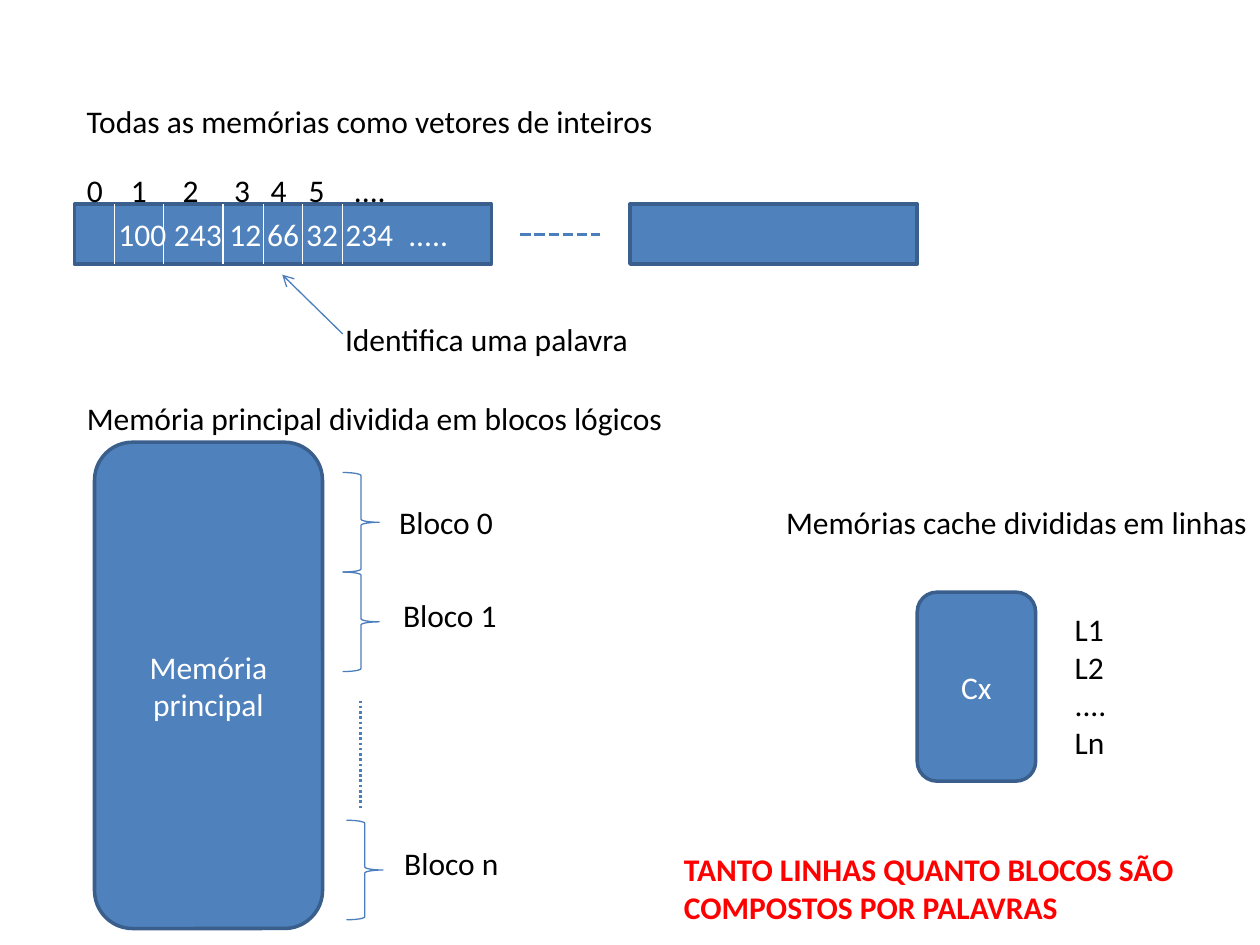
from lxml.etree import SubElement
from pptx import Presentation
from pptx.dml.color import RGBColor
from pptx.enum.dml import MSO_LINE
from pptx.enum.shapes import MSO_CONNECTOR, MSO_SHAPE
from pptx.enum.text import MSO_ANCHOR, MSO_AUTO_SIZE, PP_ALIGN
from pptx.oxml.ns import qn
from pptx.util import Inches, Pt

COLUMNS, ROWS = 100, 75
CELL = Inches(10) / COLUMNS
BLUE, EDGE, STROKE = "4F81BD", "3A5F8C", "4B7EBC"
WHITE, BLACK, RED = "FFFFFF", "000000", "FF0000"


def grid(*cells):
    return [round(cell * CELL) for cell in cells]


def color(value):
    return RGBColor.from_string(value)


def write(box, text, fill=BLACK, bold=False, align=PP_ALIGN.LEFT,
          anchor=MSO_ANCHOR.TOP, wrap=True, tabs=()):
    frame = box.text_frame
    frame.word_wrap = wrap
    frame.vertical_anchor = anchor
    for index, line in enumerate(text.split("\n")):
        para = frame.add_paragraph() if index else frame.paragraphs[0]
        para.alignment = align
        span = para.add_run()
        span.text = line
        span.font.name = "Calibri"
        span.font.size = Pt(18)
        span.font.bold = bold
        span.font.color.rgb = color(fill)
        if tabs:
            stops = SubElement(para._p.get_or_add_pPr(), qn("a:tabLst"))
            for position in grid(*tabs):
                SubElement(stops, qn("a:tab"), pos=str(position), algn="l")


def add_label(page, text, left, top, width, height=4, wrap=False, **style):
    box = page.shapes.add_textbox(*grid(left, top, width, height))
    write(box, text, wrap=wrap, **style)
    box.text_frame.auto_size = MSO_AUTO_SIZE.SHAPE_TO_FIT_TEXT


def add_figure(page, kind, left, top, width, height, fill=BLUE, edge=EDGE, weight=2):
    shape = page.shapes.add_shape(kind, *grid(left, top, width, height))
    shape.shadow.inherit = False
    if fill:
        shape.fill.solid()
        shape.fill.fore_color.rgb = color(fill)
    else:
        shape.fill.background()
    shape.line.color.rgb = color(edge)
    shape.line.width = Pt(weight)
    return shape


def add_line(page, start, end, stroke=STROKE, weight=0.75, dash=None, arrow=False):
    line = page.shapes.add_connector(MSO_CONNECTOR.STRAIGHT, *grid(*start, *end))
    line.line.color.rgb = color(stroke)
    line.line.width = Pt(weight)
    if dash:
        line.line.dash_style = dash
    if arrow:
        SubElement(line.line._get_or_add_ln(), qn("a:tailEnd"), type="arrow")
    SubElement(line._element.spPr, qn("a:effectLst"))


def add_vector(page):
    top, height = 16.2, 4.75
    add_label(page, "Todas as memórias como vetores de inteiros", 5.9, 7.6, 47.4)
    values = add_figure(page, MSO_SHAPE.RECTANGLE, 5.9, top, 33.1, height)
    values.text_frame.margin_left = grid(3.5)[0]
    write(values, "\t".join("100 243 12 66 32 234 .....".split()), fill=WHITE,
          anchor=MSO_ANCHOR.MIDDLE, tabs=(4.4, 8.8, 11.8, 14.9, 18, 23))
    add_figure(page, MSO_SHAPE.RECTANGLE, 50, top, 22.8, height)
    add_line(page, (41.3, 18.6), (47.6, 18.6), weight=2, dash=MSO_LINE.SQUARE_DOT)
    for column in (9.1, 13, 17.7, 20.9, 24, 27.2):
        add_line(page, (column, top), (column, top + height), stroke=WHITE)
    add_label(page, "\t".join("0 1 2 3 4 5 ....".split()), 5.9, 13.1, 26.1,
              wrap=True, tabs=(3.5, 7.6, 11.7, 14.6, 17.6, 21.2))
    add_line(page, (27.2, 26.5), (22.4, 21.8), arrow=True)
    add_label(page, "Identifica uma palavra", 26.4, 24.9, 24.8)


def add_main_memory(page):
    add_label(page, "Memória principal dividida em blocos lógicos", 5.9, 31.2, 48.2)
    memory = add_figure(page, MSO_SHAPE.ROUNDED_RECTANGLE, 7.5, 35.1, 18.1, 38.6)
    write(memory, "Memória principal", fill=WHITE, align=PP_ALIGN.CENTER,
          anchor=MSO_ANCHOR.MIDDLE)
    blocks = (("Bloco 0", 27.2, 37.5, 30.7, 39.4),
              ("Bloco 1", 27.2, 45.4, 31, 46.8),
              ("Bloco n", 27.5, 65.1, 31.1, 66.5))
    for name, left, top, name_left, name_top in blocks:
        add_figure(page, MSO_SHAPE.RIGHT_BRACE, left, top, 2.9, 7.9,
                   fill=None, edge=STROKE, weight=0.75)
        add_label(page, name, name_left, name_top, 9.5)
    add_line(page, (28.6, 55.6), (28.6, 64.3), weight=1.5, dash=MSO_LINE.ROUND_DOT)


def add_cache(page):
    add_label(page, "Memórias cache divididas em linhas", 61.4, 39.4, 39)
    cache = add_figure(page, MSO_SHAPE.ROUNDED_RECTANGLE, 72.8, 47, 9.4, 15)
    write(cache, "Cx", fill=WHITE, align=PP_ALIGN.CENTER, anchor=MSO_ANCHOR.MIDDLE)
    add_label(page, "L1\nL2\n....\nLn", 84.3, 47.9, 4.5, 13.1)
    add_label(page, "TANTO LINHAS QUANTO BLOCOS SÃO\nCOMPOSTOS POR PALAVRAS",
              53.3, 67, 41.8, 7.1, fill=RED, bold=True)


def main():
    deck = Presentation()
    deck.slide_width, deck.slide_height = grid(COLUMNS, ROWS)
    page = deck.slides.add_slide(deck.slide_layouts[6])
    add_vector(page)
    add_main_memory(page)
    add_cache(page)
    deck.save("out.pptx")


main()
